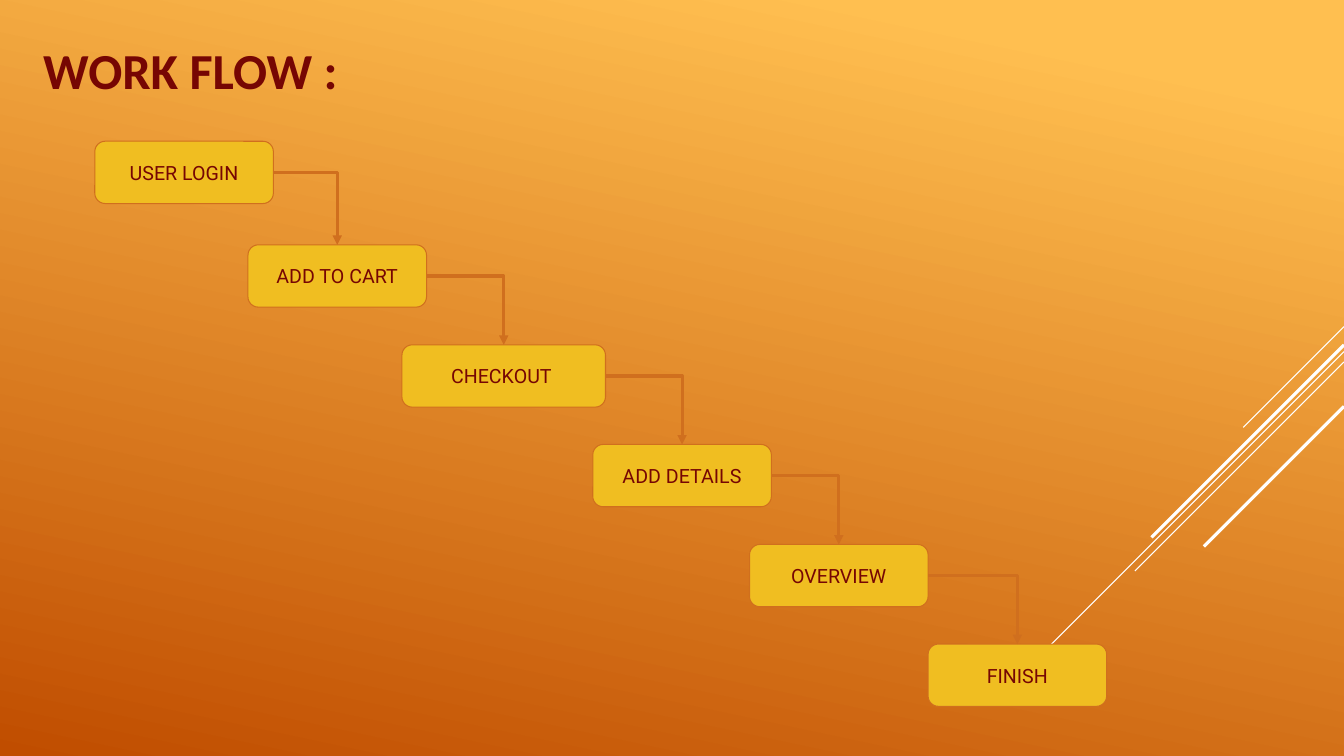
from itertools import pairwise

from lxml.etree import SubElement
from pptx import Presentation
from pptx.dml.color import RGBColor
from pptx.enum.shapes import MSO_CONNECTOR as CONN, MSO_SHAPE as SHAPE
from pptx.enum.text import MSO_ANCHOR as ANCHOR, PP_ALIGN as ALIGN
from pptx.oxml.ns import qn
from pptx.util import Cm, Pt

LIGHT = RGBColor(0xFF, 0xBF, 0x50)
DARK = RGBColor(0xC0, 0x4D, 0x00)
WHITE = RGBColor(0xFF, 0xFF, 0xFF)
MAROON = RGBColor(0x76, 0x06, 0x03)
YELLOW = RGBColor(0xF0, 0xBE, 0x21)
ORANGE = RGBColor(0xD0, 0x6F, 0x1E)

SLIDE_W, SLIDE_H = 33.87, 19.05
STEP_H = 1.57

# Label, left, top, width in cm
STEPS = [
    ("USER LOGIN", 2.39, 3.56, 4.5),
    ("ADD TO CART", 6.25, 6.17, 4.5),
    ("CHECKOUT ", 10.13, 8.69, 5.13),
    ("ADD DETAILS", 14.94, 11.2, 4.5),
    ("OVERVIEW", 18.89, 13.72, 4.5),
    ("FINISH", 23.39, 16.23, 4.5),
]

# Diagonals from the right edge: start height and run in cm, weight in pt
DIAGONALS = [
    (8.23, 2.54, 0.75),
    (8.86, 8.28, 0.75),
    (9.12, 5.27, 0.75),
    (8.69, 4.85, 2.25),
    (10.24, 3.53, 2.25),
]


def set_background(s):
    fill = s.background.fill
    fill.gradient()
    fill.gradient_angle = 258
    for stop, color, position in zip(fill.gradient_stops, (LIGHT, DARK), (0.1, 1)):
        stop.color.rgb = color
        stop.position = position


def set_font(p, name, size, bold=False):
    p.font.name = name
    p.font.size = Pt(size)
    p.font.bold = bold
    p.font.color.rgb = MAROON


def add_title(s, text):
    sp = s.shapes.add_textbox(Cm(0.84), Cm(0.38), Cm(23.7), Cm(4.19))
    tf = sp.text_frame
    tf.word_wrap = True
    tf.vertical_anchor = ANCHOR.MIDDLE
    tf.margin_bottom = Cm(1.6)
    p = tf.paragraphs[0]
    p.text = text
    set_font(p, "Calibri", 36, bold=True)


def add_line(s, kind, start, end, color, weight):
    cxn = s.shapes.add_connector(kind, *map(Cm, start + end))
    cxn.line.color.rgb = color
    cxn.line.width = Pt(weight)
    SubElement(cxn._element.spPr, qn("a:effectLst"))
    return cxn


def add_step(s, label, left, top, width):
    sp = s.shapes.add_shape(SHAPE.ROUNDED_RECTANGLE,
                            Cm(left), Cm(top), Cm(width), Cm(STEP_H))
    sp.shadow.inherit = False
    sp.fill.solid()
    sp.fill.fore_color.rgb = YELLOW
    sp.line.color.rgb = ORANGE
    sp.line.width = Pt(0.75)
    tf = sp.text_frame
    tf.vertical_anchor = ANCHOR.MIDDLE
    tf.margin_left = tf.margin_right = tf.margin_top = tf.margin_bottom = Cm(0.25)
    p = tf.paragraphs[0]
    p.text = label
    p.alignment = ALIGN.CENTER
    set_font(p, "Roboto", 14)
    return sp


def add_arrow(s, source, target):
    """Run right out of the source, then down into the top of the target."""
    cxn = add_line(s, CONN.ELBOW, (0, 0), (1, 1), ORANGE, 2.25)
    cxn.begin_connect(source, 3)
    cxn.end_connect(target, 0)
    cxn._element.spPr.find(qn("a:prstGeom")).set("prst", "bentConnector2")
    SubElement(cxn.line._get_or_add_ln(), qn("a:tailEnd"), type="triangle")


def main():
    prs = Presentation()
    prs.slide_width, prs.slide_height = Cm(SLIDE_W), Cm(SLIDE_H)
    s = prs.slides.add_slide(prs.slide_layouts[6])

    # Backdrop
    set_background(s)
    for top, run, weight in DIAGONALS:
        add_line(s, CONN.STRAIGHT, (SLIDE_W, top), (SLIDE_W - run, top + run),
                 WHITE, weight)

    # Title
    add_title(s, "WORK FLOW :")

    # Flow steps, each linked to the next
    boxes = [add_step(s, *step) for step in STEPS]
    for source, target in pairwise(boxes):
        add_arrow(s, source, target)

    prs.save("out.pptx")


if __name__ == "__main__":
    main()
